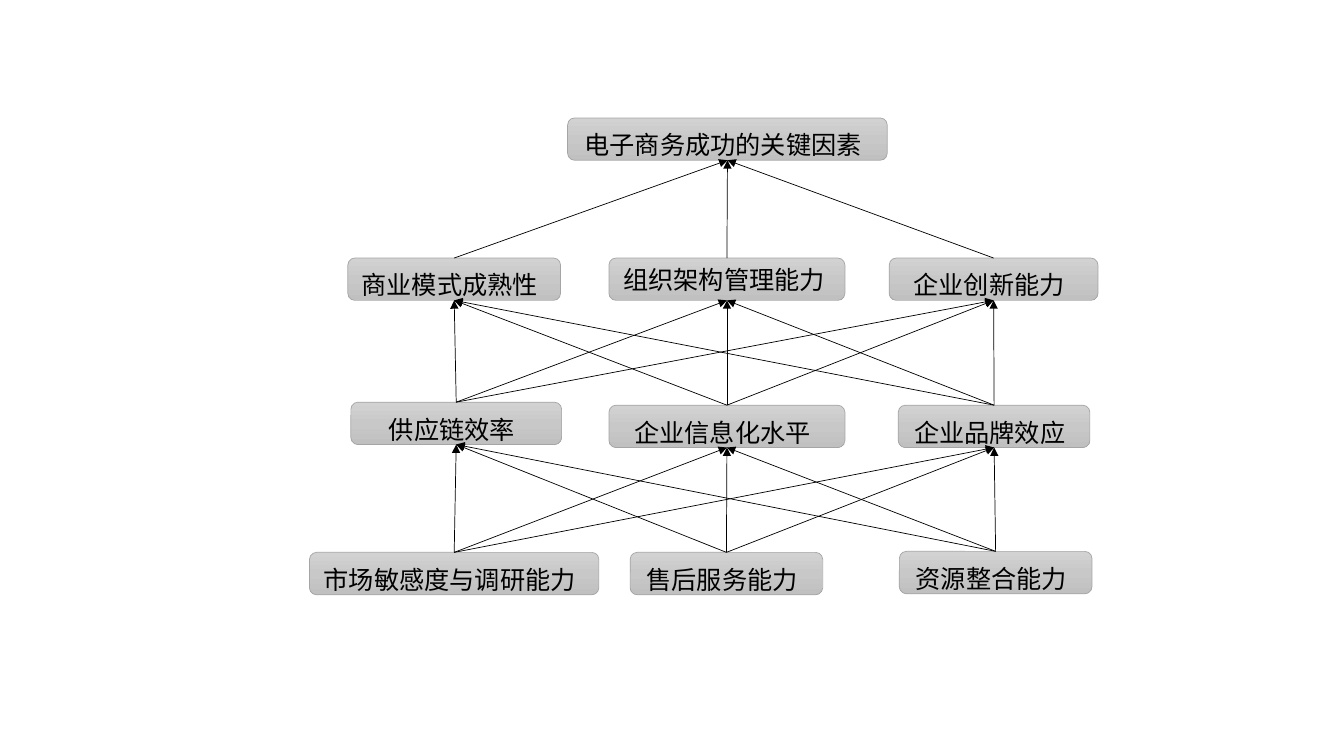
from copy import deepcopy
from dataclasses import dataclass
from itertools import pairwise, product

from lxml.etree import SubElement
from pptx import Presentation
from pptx.dml.color import RGBColor
from pptx.enum.shapes import MSO_CONNECTOR as Connector, MSO_SHAPE as Shape
from pptx.enum.text import MSO_ANCHOR as Anchor, PP_ALIGN as Align
from pptx.oxml.ns import qn
from pptx.util import Pt

PX = 9144  # EMU, 100 px to the inch
BOX_HEIGHT = 42
TOP_SITE, BOTTOM_SITE = 0, 2


@dataclass(frozen=True)
class Theme:
    font: str = "Noto Sans CJK SC"
    text: RGBColor = RGBColor(0, 0, 0)
    arrow: RGBColor = RGBColor(0, 0, 0)
    border: RGBColor = RGBColor(0xA5, 0xA5, 0xA5)
    gradient: tuple = ("D2D2D2", "C8C8C8", "C0C0C0")
    label_size: Pt = Pt(18)
    space_size: Pt = Pt(28)
    line_width: Pt = Pt(0.5)


theme = Theme()

# Levels from the goal down; each factor is (label, left, top, width, size of the closing space)
levels = [
    [("电子商务成功的关键因素", 563, 117, 317, theme.space_size)],
    [
        ("商业模式成熟性", 345, 256, 211, theme.space_size),
        ("组织架构管理能力", 604, 256, 234, theme.label_size),
        ("企业创新能力", 882, 256, 207, theme.space_size),
    ],
    [
        ("供应链效率", 348, 399, 209, theme.space_size),
        ("企业信息化水平", 604, 402, 234, theme.space_size),
        ("企业品牌效应", 891, 402, 190, theme.space_size),
    ],
    [
        ("市场敏感度与调研能力", 307, 548, 287, theme.space_size),
        ("售后服务能力", 625, 548, 191, theme.space_size),
        ("资源整合能力", 892, 547, 191, theme.space_size),
    ],
]


def fill_with_gradient(box):
    """Shade the box from top to bottom through the three theme greys."""
    box.fill.gradient()
    box.fill.gradient_angle = 270
    stop_list = box._element.spPr.find(".//" + qn("a:gsLst"))
    stop_list.insert(1, deepcopy(stop_list[0]))
    for index, (stop, grey) in enumerate(zip(box.fill.gradient_stops, theme.gradient)):
        stop.position = index / 2
        stop.color.rgb = RGBColor.from_string(grey)


def add_factor(page, label, left, top, width, space_size):
    box = page.shapes.add_shape(
        Shape.ROUNDED_RECTANGLE, left * PX, top * PX, width * PX, BOX_HEIGHT * PX
    )
    box.shadow.inherit = False
    fill_with_gradient(box)
    box.line.color.rgb = theme.border
    box.line.width = theme.line_width
    box.text_frame.vertical_anchor = Anchor.MIDDLE
    para = box.text_frame.paragraphs[0]
    para.alignment = Align.CENTER
    for text, size in ((label, theme.label_size), (" ", space_size)):
        span = para.add_run()
        span.text = text
        span.font.size = size
        span.font.name = theme.font
        span.font.color.rgb = theme.text
        SubElement(span.font._element, qn("a:ea"), typeface=theme.font)
    return box


deck = Presentation()
deck.slide_width = 1333 * PX
deck.slide_height = 750 * PX
page = deck.slides.add_slide(deck.slide_layouts[6])

boxes = [[add_factor(page, *factor) for factor in level] for level in levels]

# Every factor points to every factor on the level above
for upper_level, lower_level in pairwise(boxes):
    for lower, upper in product(lower_level, upper_level):
        arrow = page.shapes.add_connector(Connector.STRAIGHT, 0, 0, 0, 0)
        arrow.begin_connect(lower, TOP_SITE)
        arrow.end_connect(upper, BOTTOM_SITE)
        arrow.line.color.rgb = theme.arrow
        arrow.line.width = theme.line_width
        SubElement(arrow.line._get_or_add_ln(), qn("a:tailEnd"), type="triangle")
        SubElement(arrow._element.spPr, qn("a:effectLst"))

deck.save("out.pptx")
